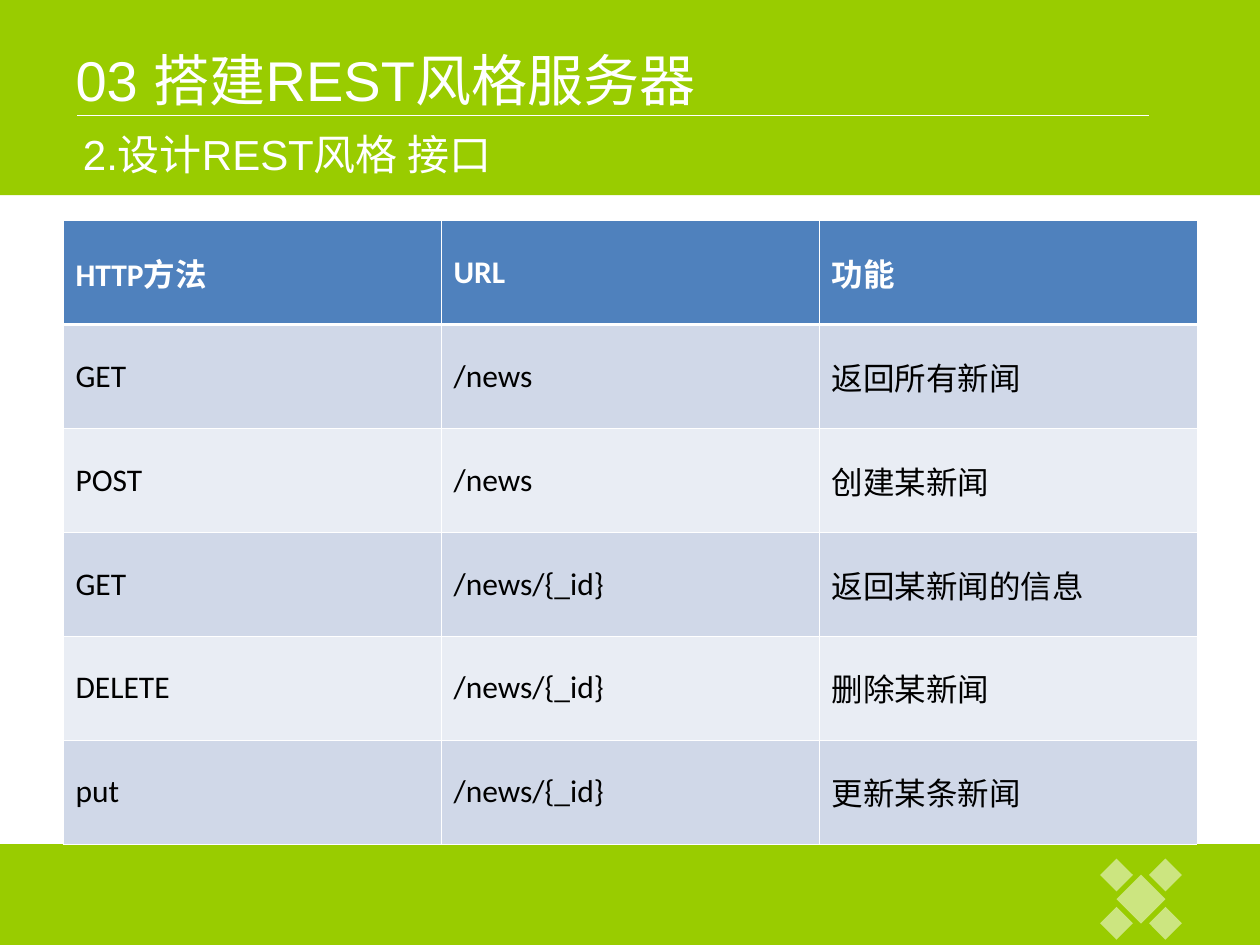
import itertools

import pptx
import pptx.dml.color
import pptx.enum.shapes
import pptx.enum.text
import pptx.oxml
import pptx.oxml.ns
import pptx.util

Pt = pptx.util.Pt
Shapes = pptx.enum.shapes.MSO_SHAPE
Anchor = pptx.enum.text.MSO_ANCHOR
qn = pptx.oxml.ns.qn

COLORS = {
    "green": "99CC00",
    "white": "FFFFFF",
    "black": "000000",
    "header": "4F81BD",
    "odd": "D0D8E8",
    "even": "E9EDF4",
}

ROWS = [
    ("HTTP方法", "URL", "功能"),
    ("GET", "/news", "返回所有新闻"),
    ("POST", "/news", "创建某新闻"),
    ("GET", "/news/{_id}", "返回某新闻的信息"),
    ("DELETE", "/news/{_id}", "删除某新闻"),
    ("put", "/news/{_id}", "更新某条新闻"),
]


def rgb(color):
    return pptx.dml.color.RGBColor.from_string(COLORS[color])


class SlideBuilder:
    heading_font = "Arial"
    table_font = "Calibri"

    def __init__(self, slide):
        self.slide = slide

    def style(self, paragraph, font, size, color, bold=False):
        paragraph.alignment = pptx.enum.text.PP_ALIGN.LEFT
        paragraph.font.name = font
        paragraph.font.size = Pt(size)
        paragraph.font.bold = bold
        paragraph.font.color.rgb = rgb(color)

    def filled_shape(self, kind, left, top, width, height, color, opacity=100):
        shape = self.slide.shapes.add_shape(kind, Pt(left), Pt(top), Pt(width), Pt(height))
        shape.shadow.inherit = False
        shape.fill.solid()
        shape.fill.fore_color.rgb = rgb(color)
        shape.line.fill.background()
        if opacity < 100:
            fill_color = shape._element.spPr.find(".//" + qn("a:srgbClr"))
            alpha = fill_color.makeelement(qn("a:alpha"), {"val": str(opacity * 1000)})
            fill_color.append(alpha)

    def diamond(self, center_x, center_y, size):
        self.filled_shape(Shapes.DIAMOND, center_x - size / 2, center_y - size / 2,
                          size, size, "white", opacity=50)

    def title(self, text, left, top, width, height):
        shape = self.slide.shapes.title
        shape.left, shape.top, shape.width, shape.height = map(Pt, (left, top, width, height))
        frame = shape.text_frame
        frame.text = text
        frame.auto_size = pptx.enum.text.MSO_AUTO_SIZE.NONE
        frame.vertical_anchor = Anchor.MIDDLE
        self.style(frame.paragraphs[0], self.heading_font, 32, "white")
        # Bring the title in front of the green band
        self.slide.shapes._spTree.append(shape._element)

    def text(self, text, left, top, width, height):
        frame = self.slide.shapes.add_textbox(Pt(left), Pt(top), Pt(width), Pt(height)).text_frame
        frame.word_wrap = True
        frame.auto_size = pptx.enum.text.MSO_AUTO_SIZE.SHAPE_TO_FIT_TEXT
        frame.text = text
        self.style(frame.paragraphs[0], self.heading_font, 24, "white")

    def rule(self, left, right, y):
        line = self.slide.shapes.add_connector(
            pptx.enum.shapes.MSO_CONNECTOR.STRAIGHT, Pt(left), Pt(y), Pt(right), Pt(y))
        line.line.color.rgb = rgb("white")
        line.line.width = Pt(0.75)
        properties = line._element.spPr
        properties.append(properties.makeelement(qn("a:effectLst"), {}))

    def borders(self, cell, widths):
        properties = cell._tc.get_or_add_tcPr()
        for index, (side, width) in enumerate(widths.items()):
            properties.insert(index, pptx.oxml.parse_xml(
                f'<a:ln{side} {pptx.oxml.ns.nsdecls("a")} w="{Pt(width)}"><a:solidFill>'
                f'<a:srgbClr val="{COLORS["white"]}"/></a:solidFill></a:ln{side}>'))

    def table(self, rows, left, top, width, height):
        table = self.slide.shapes.add_table(
            len(rows), len(rows[0]), Pt(left), Pt(top), Pt(width), Pt(height)).table
        for row_index, row in enumerate(rows):
            is_header = row_index == 0
            fill = "header" if is_header else ("even", "odd")[row_index % 2]
            widths = {"L": 0.45, "R": 0.45,
                      "T": 1.47 if row_index == 1 else 0.45,
                      "B": 1.47 if is_header else 0.45}
            for column_index, text in enumerate(row):
                cell = table.cell(row_index, column_index)
                cell.text = text
                cell.vertical_anchor = Anchor.MIDDLE
                cell.fill.solid()
                cell.fill.fore_color.rgb = rgb(fill)
                paragraph = cell.text_frame.paragraphs[0]
                paragraph.space_before = Pt(4.5)
                self.style(paragraph, self.table_font, 18,
                           "white" if is_header else "black", is_header)
                self.borders(cell, widths)


def main():
    presentation = pptx.Presentation()
    presentation.slide_width, presentation.slide_height = Pt(720), Pt(540)
    slide = presentation.slides.add_slide(presentation.slide_layouts[5])
    builder = SlideBuilder(slide)

    # Top and bottom bands
    builder.filled_shape(Shapes.RECTANGLE, 0, 0, 720, 111.5, "green")
    builder.filled_shape(Shapes.RECTANGLE, 0, 482.4, 720, 57.6, "green")

    # Diamond ornament: one large, four small around it
    center_x, center_y = 652, 513.8
    builder.diamond(center_x, center_y, 28)
    for side_y, side_x in itertools.product((1, -1), (-1, 1)):
        builder.diamond(center_x + 14 * side_x, center_y + 13.8 * side_y, 18.8)

    # Headings
    builder.title("03 搭建REST风格服务器", 36, 21.6, 620.6, 47.5)
    builder.rule(44, 656.6, 66)
    builder.text("2.设计REST风格 接口", 40.3, 69.8, 278, 36)

    # Interface table
    builder.table(ROWS, 36, 126, 648, 356.4)

    presentation.save("out.pptx")


if __name__ == "__main__":
    main()
